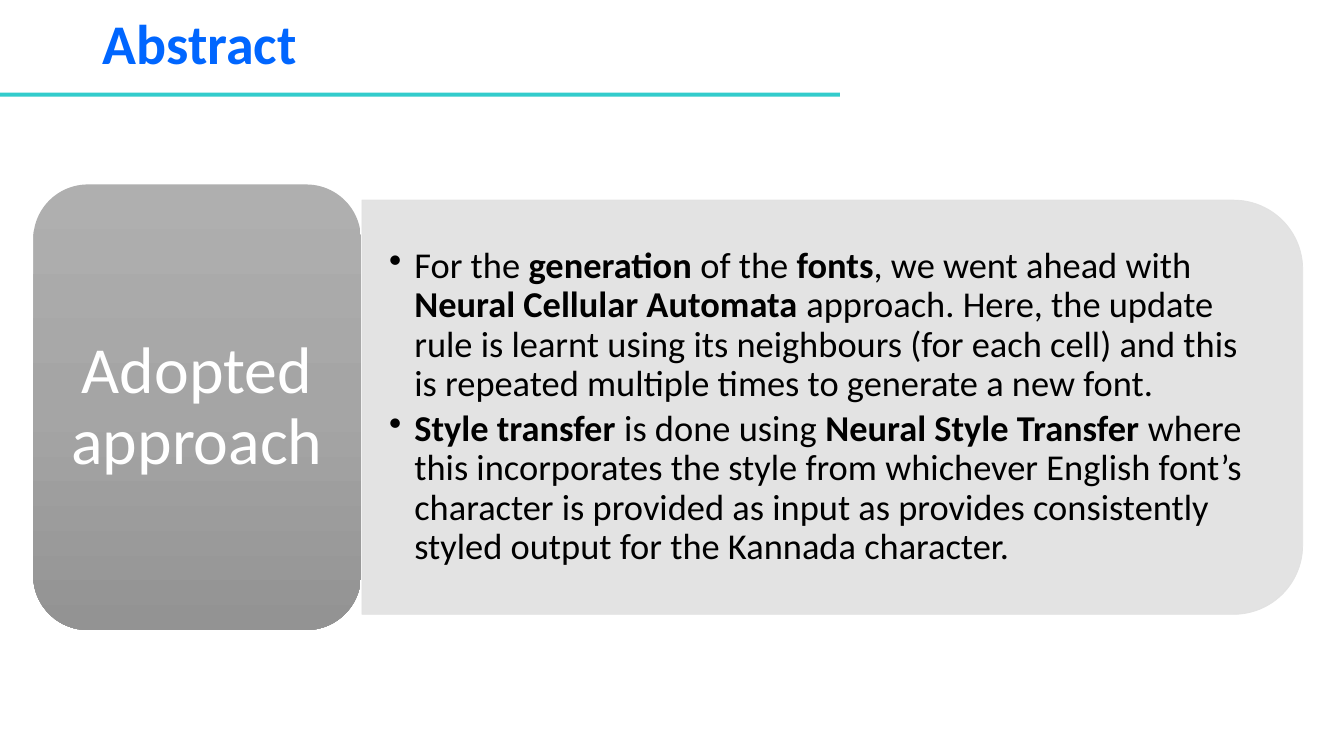
from copy import deepcopy

from pptx import Presentation
from pptx.dml.color import RGBColor
from pptx.enum.shapes import MSO_SHAPE as Shape
from pptx.enum.text import MSO_ANCHOR as Anchor, MSO_AUTO_SIZE as AutoSize, PP_ALIGN as Align
from pptx.oxml.ns import qn
from pptx.oxml.xmlchemy import OxmlElement
from pptx.util import Inches, Pt

WIDTH, HEIGHT = 13.33, 7.5
MIDDLE = 4.04
FONT = "Calibri"
POINTS = [
    [("For the ", False), ("generation", True), (" of the ", False), ("fonts", True),
     (", we went ahead with ", False), ("Neural Cellular Automata", True),
     (" approach. Here, the update rule is learnt using its neighbours (for each cell) "
      "and this is repeated multiple times to generate a new font.", False)],
    [("Style transfer ", True), ("is done using ", False), ("Neural Style Transfer", True),
     (" where this incorporates the style from whichever English font’s character is "
      "provided as input as provides consistently styled output for the Kannada character.", False)],
]


def color(value):
    return RGBColor.from_string(value)


def lengths(*values):
    return [Inches(value) for value in values]


def centred(left, width, height):
    return left, MIDDLE - height / 2, width, height


def set_frame(frame, across, down):
    frame.word_wrap = True
    frame.auto_size = AutoSize.NONE
    frame.vertical_anchor = Anchor.MIDDLE
    frame.margin_left = frame.margin_right = Inches(across)
    frame.margin_top = frame.margin_bottom = Inches(down)


def format_para(para, size, hue, align=Align.LEFT):
    para.alignment = align
    para.line_spacing = 0.9
    para.font.name = FONT
    para.font.size = Pt(size)
    para.font.color.rgb = color(hue)


def add_panel(page, kind, box, hue):
    panel = page.shapes.add_shape(kind, *lengths(*box))
    panel.shadow.inherit = False
    panel.fill.solid()
    panel.fill.fore_color.rgb = color(hue)
    panel.line.fill.background()
    return panel


def add_title(page, text):
    title = page.shapes.title
    title.left, title.top, title.width, title.height = lengths(0.92, 0, 11.5, 0.92)
    set_frame(title.text_frame, 0.1, 0.05)
    title.text_frame.text = text
    para = title.text_frame.paragraphs[0]
    format_para(para, 40, "0066FF")
    para.font.bold = True


def add_body_panel(page, left, width, height):
    center = left + width / 2
    box = center - height / 2, MIDDLE - width / 2, height, width
    panel = add_panel(page, Shape.ROUND_2_SAME_RECTANGLE, box, "E1E1E1")
    panel.rotation = 90
    panel.line.color.rgb = color("E1E1E1")
    panel.line.width = Pt(0.5)
    for tint in panel.element.spPr.iter(qn("a:srgbClr")):
        alpha = OxmlElement("a:alpha")
        alpha.set("val", "90000")
        tint.append(alpha)


def add_bullet(para):
    props = para._p.get_or_add_pPr()
    props.set("marL", str(Inches(0.25)))
    props.set("indent", str(Inches(-0.25)))
    bullet = OxmlElement("a:buChar")
    bullet.set("char", "•")
    props.insert_element_before(bullet, "a:tabLst", "a:defRPr", "a:extLst")


def add_points(page, box, points):
    frame = page.shapes.add_textbox(*lengths(*box)).text_frame
    set_frame(frame, 0.27, 0.14)
    for index, spans in enumerate(points):
        para = frame.add_paragraph() if index else frame.paragraphs[0]
        format_para(para, 26, "000000")
        para.space_after = Pt(4)
        add_bullet(para)
        for text, bold in spans:
            span = para.add_run()
            span.text = text
            span.font.bold = bold


def shade(panel, hues):
    panel.fill.gradient()
    panel.fill.gradient_angle = 270
    stops = panel.element.spPr.find(".//" + qn("a:gsLst"))
    stops.append(deepcopy(stops[-1]))
    for index, (stop, hue) in enumerate(zip(panel.fill.gradient_stops, hues)):
        stop.position = index / (len(hues) - 1)
        stop.color.rgb = color(hue)


def add_label(page, box, text):
    label = add_panel(page, Shape.ROUNDED_RECTANGLE, box, "A5A5A5")
    shade(label, ["AFAFAF", "A5A5A5", "939393"])
    set_frame(label.text_frame, 0.2, 0.1)
    label.text_frame.text = text
    format_para(label.text_frame.paragraphs[0], 47, "FFFFFF", Align.CENTER)


def main():
    deck = Presentation()
    deck.slide_width, deck.slide_height = lengths(WIDTH, HEIGHT)
    page = deck.slides.add_slide(deck.slide_layouts[5])
    add_panel(page, Shape.RECTANGLE, (0, 0.92, WIDTH * 0.625, 0.04), "33CCCC")
    add_title(page, "Abstract")
    add_body_panel(page, 3.59, 9.33, 4.11)
    add_points(page, centred(3.59, 9.13, 3.71), POINTS)
    add_label(page, centred(0.33, 3.25, 4.42), "Adopted approach")
    deck.save("out.pptx")


if __name__ == "__main__":
    main()
